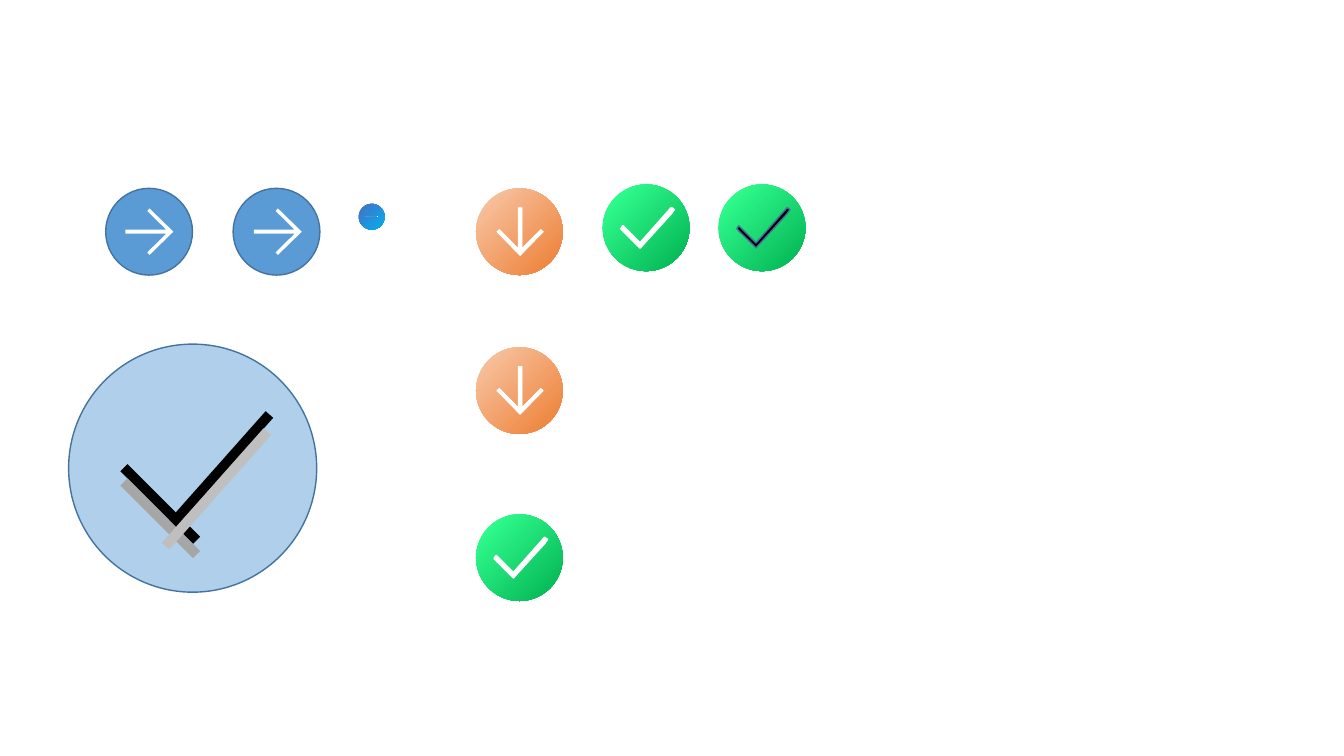
import math
from dataclasses import dataclass

from lxml import etree
from pptx import Presentation
from pptx import util as u
from pptx.dml import color
from pptx.enum import shapes
from pptx.oxml import ns


@dataclass(frozen=True)
class Theme:
    blue: str = "5B9BD5"
    outline: str = "43739E"
    white: str = "FFFFFF"
    black: str = "000000"
    dark_grey: str = "A6A6A6"
    light_grey: str = "BFBFBF"
    orange: tuple = ((9, "F7C3A0"), (100, "ED7D31"))
    green: tuple = ((9, "33FF90"), (100, "00B050"))
    sky: tuple = ((4, "4472C4"), (100, "00B0F0"))


theme = Theme()
DISC = 62

# Icon outlines in points around the centre of a disc
ARROW = [(0, -16.6), (17, 0), (0, 16.6), (-1.6, 14.8), (12, 1.4),
         (-17.2, 1.4), (-17.2, -1.4), (12, -1.4), (-1.6, -14.8)]
DOWN_ARROW = [(-y, x) for x, y in ARROW]
CHECK = [(18, -14.4), (20, -13), (18, -10.1), (-4.3, 14.4),
         (-16.6, 2.2), (-18, 0.7), (-16.6, -1.4), (-4.3, 10.8)]


def paint(shape, fill, line=None, width=1):
    """Fill with one colour or with a diagonal gradient of two stops."""
    shape.shadow.inherit = False
    if isinstance(fill, str):
        shape.fill.solid()
        shape.fill.fore_color.rgb = color.RGBColor.from_string(fill)
    else:
        shape.fill.gradient()
        shape.fill.gradient_angle = 315
        for stop, (position, rgb) in zip(shape.fill.gradient_stops, fill):
            stop.position = position / 100
            stop.color.rgb = color.RGBColor.from_string(rgb)
    if line:
        shape.line.color.rgb = color.RGBColor.from_string(line)
        shape.line.width = u.Pt(width)
    else:
        shape.line.fill.background()


def draw_outline(parent, center_x, center_y, *contours):
    """Build one freeform from closed contours given around a centre."""
    builder = None
    for contour in contours:
        points = [(u.Pt(center_x + x), u.Pt(center_y + y)) for x, y in contour]
        if builder is None:
            builder = parent.build_freeform(*points[0])
        else:
            builder.move_to(*points[0])
        builder.add_line_segments(points[1:], close=True)
    return builder.convert_to_shape()


prs = Presentation()
prs.slide_width, prs.slide_height = u.Pt(960), u.Pt(540)
slide = prs.slides.add_slide(prs.slide_layouts[6])

# Disc centre, disc fill and line, icon outline, shift, fill, line and width
badges = [
    (106.5, 165.5, theme.blue, theme.outline, ARROW, 0.3, theme.white, None, 0),
    (197.5, 165.5, theme.blue, theme.outline, ARROW, 1, theme.white, None, 0),
    (371, 165.5, theme.orange, None, DOWN_ARROW, 0.5, theme.white, theme.white, 0.5),
    (461.5, 162.7, theme.green, None, CHECK, 0, theme.white, theme.white, 1.25),
    (544.3, 162.7, theme.green, None, CHECK, 0, theme.black, theme.outline, 1),
    (371, 279, theme.orange, None, DOWN_ARROW, 0.5, theme.white, theme.white, 0.5),
    (371, 398.3, theme.green, None, CHECK, 0, theme.white, theme.white, 1.25),
]
for x, y, disc_fill, disc_line, outline, shift, icon_fill, icon_line, width in badges:
    disc = slide.shapes.add_shape(shapes.MSO_SHAPE.OVAL, u.Pt(x - DISC / 2),
                                  u.Pt(y - DISC / 2), u.Pt(DISC), u.Pt(DISC))
    paint(disc, disc_fill, disc_line)
    icon = draw_outline(slide.shapes, x + shift, y, outline)
    paint(icon, icon_fill, icon_line, width)

# Small dot with an arrow cut out of it
rim = [(9.2 * math.cos(math.radians(a)), 9.2 * math.sin(math.radians(a)))
       for a in range(0, 360, 6)]
cutout = [(0.3 * x, 0.3 * y) for x, y in ARROW]
dot = draw_outline(slide.shapes, 265.5, 154.8, cutout, rim)
paint(dot, theme.sky)

# Large translucent disc with a check mark made of bars
large_disc = slide.shapes.add_shape(shapes.MSO_SHAPE.OVAL, u.Pt(49), u.Pt(245.8),
                                    u.Pt(177.2), u.Pt(177.2))
paint(large_disc, theme.blue, theme.outline)
rgb = large_disc.fill._xPr.find(".//" + ns.qn("a:srgbClr"))
etree.SubElement(rgb, ns.qn("a:alpha"), val="48000")

bars = [
    (101.5, 333.4, 109.4, 311.6, theme.black),
    (77.8, 356.4, 73.4, 225, theme.black),
    (77.8, 366.5, 73.4, 225, theme.dark_grey),
    (100, 345.6, 109.4, 311.6, theme.light_grey),
]
for left, top, length, angle, fill in bars:
    bar = slide.shapes.add_shape(shapes.MSO_SHAPE.RECTANGLE, u.Pt(left), u.Pt(top),
                                 u.Pt(length), u.Pt(7.2))
    bar.rotation = angle
    paint(bar, fill)

prs.save("out.pptx")
